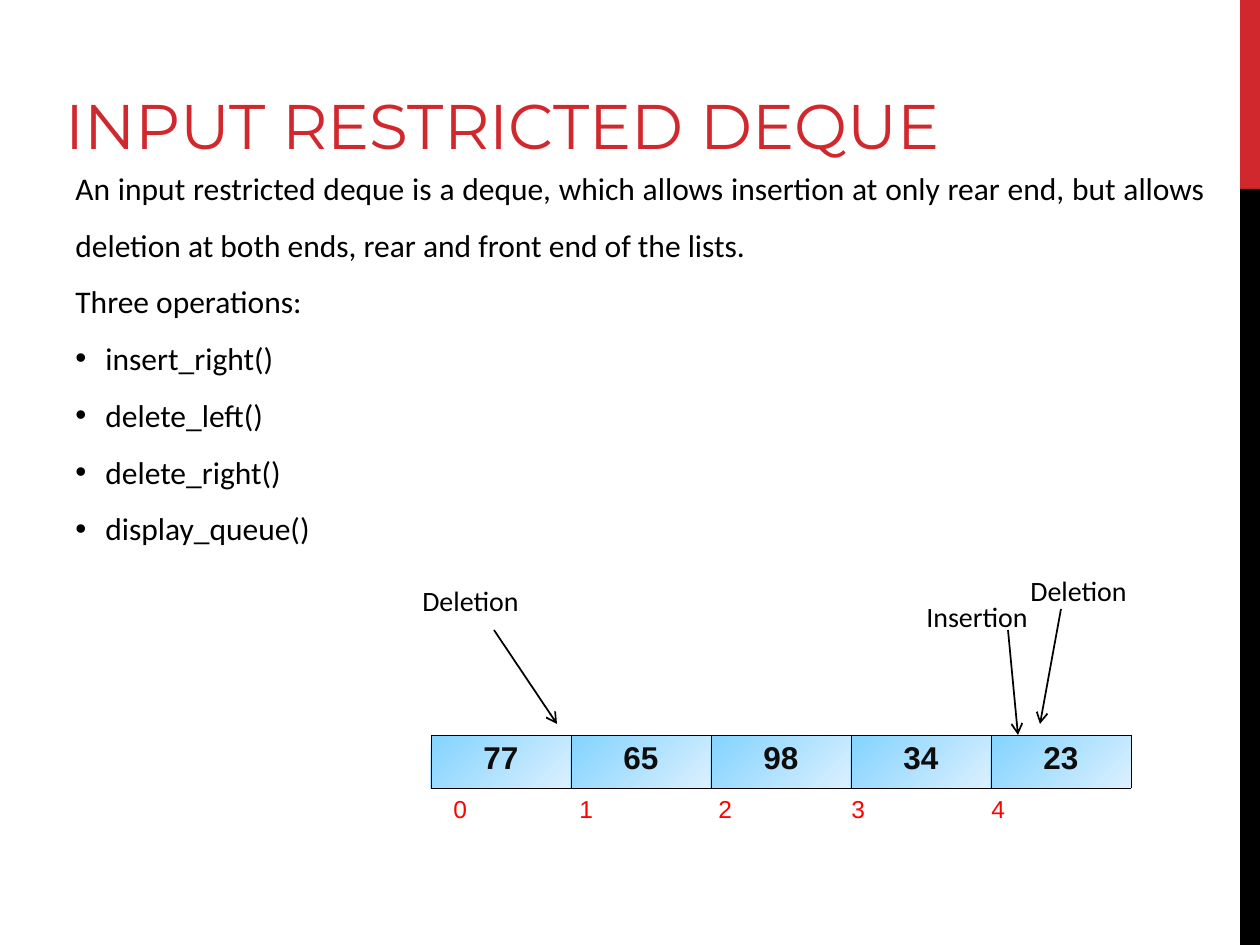
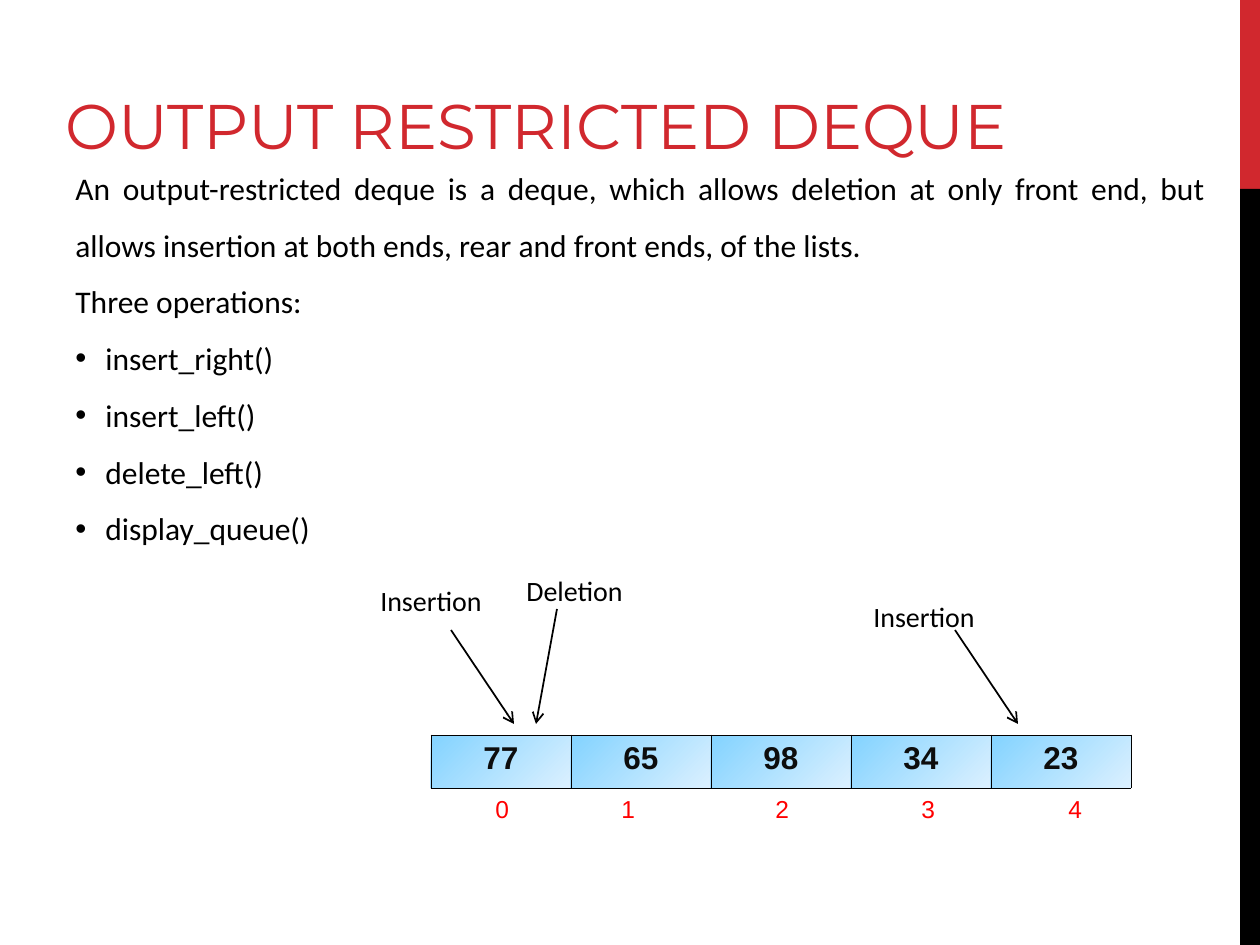
"""Builds two slides on input and output restricted deques."""
import pptx
import pptx.dml.color
import pptx.enum.dml
import pptx.enum.shapes
import pptx.enum.text
import pptx.oxml
import pptx.oxml.ns
import pptx.util

RED = pptx.dml.color.RGBColor(0xD1, 0x28, 0x2E)
BLACK = pptx.dml.color.RGBColor(0x00, 0x00, 0x00)
INDEX_RED = pptx.dml.color.RGBColor(0xFF, 0x00, 0x00)
VALUE_GREY = pptx.dml.color.RGBColor(0x0D, 0x0D, 0x0D)
CELL_BLUE = pptx.dml.color.RGBColor(0x83, 0xD3, 0xFF)
CELL_PALE = pptx.dml.color.RGBColor(0xDB, 0xF0, 0xFF)

SCALE = 914400 / 126
ALIGN = pptx.enum.text.PP_ALIGN
VALUES = ["77", "65", "98", "34", "23"]
CELL_WIDTH, CELL_HEIGHT = 140, 53

DEQUES = [
    {
        "title": "INPUT RESTRICTED DEQUE",
        "definition": "An input restricted deque is a deque, which allows insertion at only "
                      "rear end, but allows deletion at both ends, rear and front end of the lists.",
        "operations": ["insert_right()", "delete_left()", "delete_right()", "display_queue()"],
        "labels": [("Insertion", 914, 593), ("Deletion", 1018, 567), ("Deletion", 410, 577)],
        "arrows": [(1008, 630, 1018, 735), (1061, 609, 1040, 724), (494, 630, 557, 724)],
        "index_left": 441,
        "index_tabs": [126, 265, 398, 538],
    },
    {
        "title": "OUTPUT RESTRICTED DEQUE",
        "definition": "An output-restricted deque is a deque, which allows deletion at only "
                      "front end, but allows insertion at both ends, rear and front ends, of the lists.",
        "operations": ["insert_right()", "insert_left()", "delete_left()", "display_queue()"],
        "labels": [("Insertion", 861, 593), ("Deletion", 514, 567), ("Insertion", 368, 577)],
        "arrows": [(955, 630, 1018, 724), (557, 609, 536, 724), (451, 630, 514, 724)],
        "index_left": 483,
        "index_tabs": [126, 280, 426, 573],
    },
]


def px(*lengths):
    return [pptx.util.Emu(round(length * SCALE)) for length in lengths]


def add_text(slide, box, text, font, size, color):
    frame = slide.shapes.add_textbox(*px(*box)).text_frame
    frame.word_wrap = True
    frame.text = text
    for paragraph in frame.paragraphs:
        for run in paragraph.runs:
            run.font.name = font
            run.font.size = pptx.util.Pt(size)
            run.font.color.rgb = color
    return frame


deck = pptx.Presentation()
deck.slide_width, deck.slide_height = px(1260, 945)

for deque in DEQUES:
    slide = deck.slides.add_slide(deck.slide_layouts[6])

    for top, height, color in [(0, 189, RED), (189, 756, BLACK)]:
        band = slide.shapes.add_shape(
            pptx.enum.shapes.MSO_SHAPE.RECTANGLE, *px(1240, top, 20, height))
        band.shadow.inherit = False
        band.fill.solid()
        band.fill.fore_color.rgb = color
        band.line.fill.background()

    title = add_text(slide, (53, 10, 1134, 158), deque["title"], "Montserrat", 36, RED)
    title.vertical_anchor = pptx.enum.text.MSO_ANCHOR.BOTTOM

    lines = [deque["definition"], "Three operations:", *deque["operations"]]
    body = add_text(slide, (63, 144, 1155, 466), "\n".join(lines), "Calibri", 18, BLACK)
    for paragraph in body.paragraphs:
        paragraph.alignment = ALIGN.JUSTIFY
        paragraph.line_spacing = 1.5
    for operation in body.paragraphs[2:]:
        properties = operation._p.get_or_add_pPr()
        hang = px(30)[0]
        properties.set("marL", str(hang))
        properties.set("indent", str(-hang))
        for tag, name, value in [("a:buFont", "typeface", "Arial"), ("a:buChar", "char", "•")]:
            bullet = pptx.oxml.xmlchemy.OxmlElement(tag)
            bullet.set(name, value)
            properties.append(bullet)

    queue_frame = slide.shapes.add_table(
        1, len(VALUES), *px(431, 735, CELL_WIDTH * len(VALUES), CELL_HEIGHT))
    queue = queue_frame.table
    for cell, value in zip(queue.rows[0].cells, VALUES):
        cell.text = value
        paragraph = cell.text_frame.paragraphs[0]
        paragraph.alignment = ALIGN.CENTER
        font = paragraph.runs[0].font
        font.name, font.size, font.bold = "Arial", pptx.util.Pt(18), True
        font.color.rgb = VALUE_GREY
        cell.fill.gradient()
        cell.fill.gradient_angle = 315
        for stop, color in zip(cell.fill.gradient_stops, [CELL_BLUE, CELL_PALE]):
            stop.color.rgb = color
        for position, side in enumerate(["lnL", "lnR", "lnT", "lnB"]):
            border = pptx.oxml.parse_xml(
                f'<a:{side} {pptx.oxml.ns.nsdecls("a")} w="5715"><a:solidFill>'
                f'<a:srgbClr val="{BLACK}"/></a:solidFill></a:{side}>')
            cell._tc.get_or_add_tcPr().insert(position, border)

    for ends in deque["arrows"]:
        arrow = slide.shapes.add_connector(
            pptx.enum.shapes.MSO_CONNECTOR.STRAIGHT, *px(*ends))
        arrow.line.color.rgb = BLACK
        arrow.line.width = pptx.util.Pt(1)
        head = pptx.oxml.xmlchemy.OxmlElement("a:tailEnd")
        head.set("type", "arrow")
        arrow.line._get_or_add_ln().append(head)
        arrow._element.spPr.append(pptx.oxml.xmlchemy.OxmlElement("a:effectLst"))

    for label, left, top in deque["labels"]:
        add_text(slide, (left, top, 136, 47), label, "Calibri", 16, BLACK)

    indexes = add_text(slide, (deque["index_left"], 788, 693, 43),
                       "\t".join(str(index) for index in range(len(VALUES))),
                       "Arial", 14, INDEX_RED)
    tab_list = pptx.oxml.xmlchemy.OxmlElement("a:tabLst")
    for position in px(*deque["index_tabs"]):
        tab = pptx.oxml.xmlchemy.OxmlElement("a:tab")
        tab.set("pos", str(position))
        tab.set("algn", "l")
        tab_list.append(tab)
    indexes.paragraphs[0]._p.get_or_add_pPr().append(tab_list)

deck.save("out.pptx")
